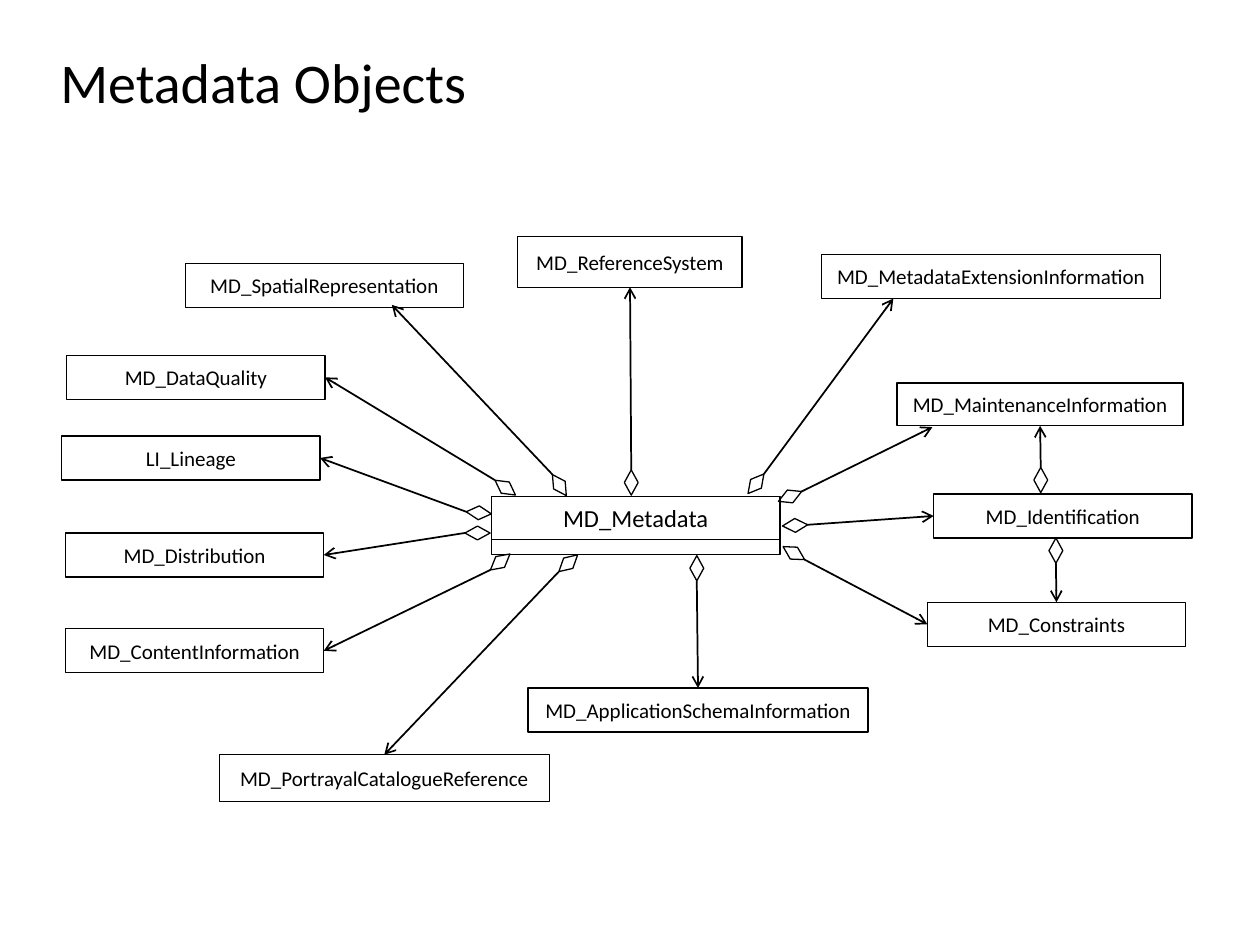
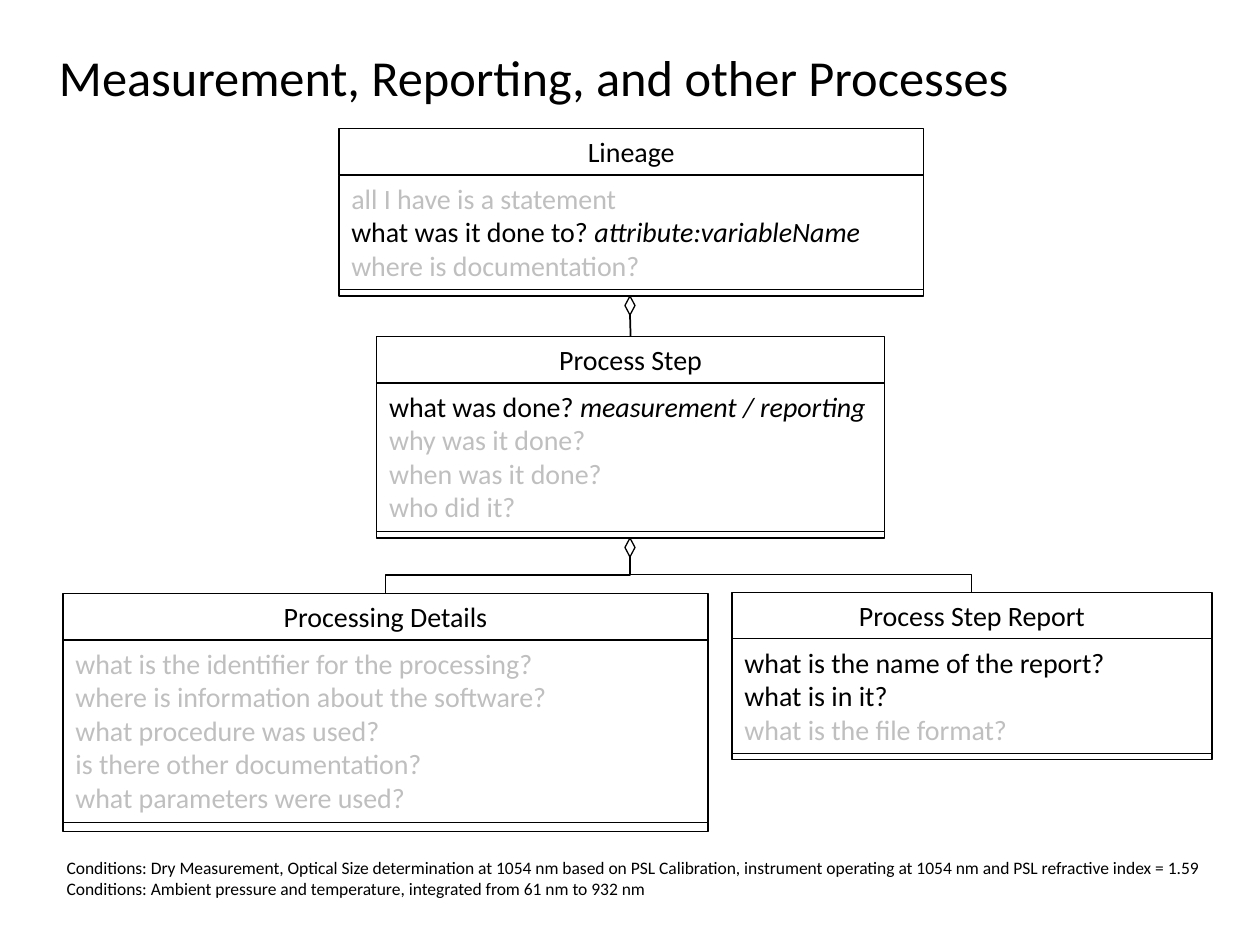
from math import cos, radians, sin

from lxml import etree
from pptx import Presentation
from pptx import util as u
from pptx.dml import color as dml
from pptx.enum import shapes, text
from pptx.oxml import ns

FONT = "Calibri"
BLACK, MUTED = "000000", "BFBFBF"
LEFT, CENTER = text.PP_ALIGN.LEFT, text.PP_ALIGN.CENTER
TOP, MIDDLE = text.MSO_ANCHOR.TOP, text.MSO_ANCHOR.MIDDLE
STRAIGHT, ELBOW = shapes.MSO_CONNECTOR.STRAIGHT, shapes.MSO_CONNECTOR.ELBOW
RECT, DIAMOND = shapes.MSO_SHAPE.RECTANGLE, shapes.MSO_SHAPE.DIAMOND
SITES = {"top": 0, "left": 1, "bottom": 2, "right": 3}

HEADER_HEIGHT, LINE_HEIGHT, BODY_PADDING = 0.37, 0.27, 0.1

# name: left, top, width, height
METADATA_CLASSES = {
    "MD_ReferenceSystem": (4.11, 1.88, 1.78, 0.4),
    "MD_DataQuality": (0.53, 2.82, 2.05, 0.35),
    "MD_SpatialRepresentation": (1.47, 2.09, 2.21, 0.35),
    "MD_Identification": (7.41, 3.92, 2.05, 0.35),
    "MD_MaintenanceInformation": (7.12, 3.04, 2.27, 0.34),
    "MD_Distribution": (0.52, 4.23, 2.05, 0.35),
    "MD_ApplicationSchemaInformation": (4.19, 5.46, 2.7, 0.35),
    "MD_PortrayalCatalogueReference": (1.74, 5.99, 2.62, 0.37),
    "MD_Constraints": (7.36, 4.78, 2.05, 0.35),
    "MD_MetadataExtensionInformation": (6.52, 2.02, 2.69, 0.35),
    "MD_ContentInformation": (0.52, 4.99, 2.05, 0.35),
    "LI_Lineage": (0.49, 3.46, 2.05, 0.35),
}

# diamond centre, diamond angle, target class, side of the target or a point
AGGREGATIONS = [
    ((5.01, 3.83), 0, "MD_ReferenceSystem", "bottom"),
    ((6.0, 3.84), 39, "MD_MetadataExtensionInformation", (7.09, 2.37)),
    ((8.26, 3.81), 0, "MD_MaintenanceInformation", "bottom"),
    ((6.27, 3.94), 67, "MD_MaintenanceInformation", (7.4, 3.39)),
    ((6.31, 4.17), 87.2, "MD_Identification", "left"),
    ((8.38, 4.37), 180, "MD_Constraints", "top"),
    ((4.44, 3.85), 326.6, "MD_SpatialRepresentation", (3.11, 2.42)),
    ((6.3, 4.39), 121.1, "MD_Constraints", "left"),
    ((5.53, 4.51), 180, "MD_ApplicationSchemaInformation", "top"),
    ((4.51, 4.47), 228.2, "MD_PortrayalCatalogueReference", "top"),
    ((3.97, 4.46), 230.8, "MD_ContentInformation", "right"),
    ((3.79, 4.23), 270, "MD_Distribution", "right"),
    ((4.01, 3.87), 306, "MD_DataQuality", "right"),
    ((3.8, 4.07), 274.7, "LI_Lineage", "right"),
]


def rgb(hex_color):
    return dml.RGBColor.from_string(hex_color)


def inches(*lengths):
    return [u.Inches(length) for length in lengths]


def write(shape, paragraphs, size=16, align=LEFT, anchor=TOP, wrap=True):
    """Fill a shape with paragraphs, each a list of (text, colour, italic) runs."""
    frame = shape.text_frame
    frame.word_wrap = wrap
    frame.vertical_anchor = anchor
    for index, runs in enumerate(paragraphs):
        paragraph = frame.add_paragraph() if index else frame.paragraphs[0]
        paragraph.alignment = align
        for words, color, italic in runs:
            run = paragraph.add_run()
            run.text = words
            run.font.name = FONT
            run.font.size = u.Pt(size)
            run.font.italic = italic
            run.font.color.rgb = rgb(color)


def plain(words):
    return [(words, BLACK, False)]


def muted(words):
    return [(words, MUTED, False)]


def with_example(words, example):
    return [(words, BLACK, False), (example, BLACK, True)]


def add_title(slide, words, box, size):
    title = slide.shapes.add_textbox(*inches(*box))
    write(title, [plain(words)], size=size, anchor=MIDDLE)


def add_outline(slide, box, preset=RECT):
    outline = slide.shapes.add_shape(preset, *inches(*box))
    outline.shadow.inherit = False
    outline.fill.background()
    outline.line.color.rgb = rgb(BLACK)
    outline.line.width = u.Pt(0.75)
    return outline


def add_diamond(slide, center, width, height, angle=0):
    x, y = center
    box = (x - width / 2, y - height / 2, width, height)
    add_outline(slide, box, DIAMOND).rotation = angle


def add_line(slide, start, end, kind=STRAIGHT, arrow=False):
    line = slide.shapes.add_connector(kind, *inches(*start, *end))
    line.line.color.rgb = rgb(BLACK)
    line.line.width = u.Pt(1)
    if arrow:
        etree.SubElement(line.line._get_or_add_ln(), ns.qn("a:tailEnd"), type="arrow")
    etree.SubElement(line._element.spPr, ns.qn("a:effectLst"))
    return line


def add_drop_elbow(slide, start, end):
    """Elbow that leaves downwards, runs sideways and arrives downwards."""
    (x1, y1), (x2, y2) = start, end
    mid_x, mid_y = (x1 + x2) / 2, (y1 + y2) / 2
    half_run, half_drop = (x2 - x1) / 2, (y2 - y1) / 2
    corners = [(mid_x + half_drop, mid_y - half_run),
               (mid_x - half_drop, mid_y + half_run)]
    goes_right = x2 > x1
    if not goes_right:
        corners.reverse()
    elbow = add_line(slide, *corners, kind=ELBOW)
    elbow._element.spPr.xfrm.rot = 270 if goes_right else 90


def add_aggregation(slide, center, angle, target, end):
    """Diamond with an arrow that runs from its tip to the target."""
    width, height = 0.11, 0.2
    add_diamond(slide, center, width, height, angle)
    turn = radians(angle)
    tip = (center[0] + height / 2 * sin(turn), center[1] - height / 2 * cos(turn))
    on_side = end in SITES
    arrow = add_line(slide, tip, tip if on_side else end, arrow=True)
    if on_side:
        arrow.end_connect(target, SITES[end])


def add_class(slide, left, top, width, name, questions, footer=0.05):
    """Header, body and empty footer; returns the header and the bottom edge."""
    header = add_outline(slide, (left, top, width, HEADER_HEIGHT))
    write(header, [plain(name)], align=CENTER)
    body_top = top + HEADER_HEIGHT
    body_height = BODY_PADDING + LINE_HEIGHT * len(questions)
    body = add_outline(slide, (left, body_top, width, body_height))
    write(body, questions)
    footer_top = body_top + body_height
    add_outline(slide, (left, footer_top, width, footer))
    return header, footer_top + footer


def add_class_diamond(slide, x, top):
    """Small diamond under a class; returns its lower tip."""
    width, height = 0.08, 0.15
    add_diamond(slide, (x, top + height / 2), width, height)
    return x, top + height


def metadata_slide(slide):
    add_title(slide, "Metadata Objects", (0.38, 0.45, 6.42, 0.38), 32)
    classes = {}
    for name, box in METADATA_CLASSES.items():
        classes[name] = add_outline(slide, box)
        write(classes[name], [plain(name)], size=12, align=CENTER,
              anchor=MIDDLE, wrap=False)

    left, top, width, height = 3.9, 3.94, 2.29, 0.34
    hub = add_outline(slide, (left, top, width, height))
    write(hub, [plain("MD_Metadata")], size=14, align=CENTER)
    add_outline(slide, (left, top + height, width, 0.12))

    for center, angle, name, end in AGGREGATIONS:
        add_aggregation(slide, center, angle, classes[name], end)


def process_slide(slide):
    add_title(slide, "Measurement, Reporting, and other Processes",
              (0.37, 0.38, 8.84, 0.46), 28.8)
    axis = 5

    _, lineage_bottom = add_class(slide, 2.69, 1.02, 4.64, "Lineage", [
        muted("all I have is a statement"),
        with_example("what was it done to? ", "attribute:variableName"),
        muted("where is documentation?"),
    ])
    step, step_bottom = add_class(slide, 2.99, 2.67, 4.03, "Process Step", [
        with_example("what was done? ", "measurement / reporting"),
        muted("why was it done?"),
        muted("when was it done?"),
        muted("who did it?"),
    ])
    add_class(slide, 5.81, 4.7, 3.81, "Process Step Report", [
        plain("what is the name of the report?"),
        plain("what is in it?"),
        muted("what is the file format?"),
    ])
    add_class(slide, 0.5, 4.71, 5.12, "Processing Details", [
        muted("what is the identifier for the processing?"),
        muted("where is information about the software?"),
        muted("what procedure was used?"),
        muted("is there other documentation?"),
        muted("what parameters were used?"),
    ], footer=0.07)

    lineage_tip = add_class_diamond(slide, axis, lineage_bottom)
    add_line(slide, lineage_tip, (axis, 2.67)).end_connect(step, SITES["top"])
    step_tip = add_class_diamond(slide, axis, step_bottom)
    for child_top in [(7.71, 4.7), (3.06, 4.71)]:
        add_drop_elbow(slide, step_tip, child_top)

    conditions = slide.shapes.add_textbox(*inches(0.43, 6.75, 9.35, 0.44))
    write(conditions, [
        plain("Conditions: Dry Measurement, Optical Size determination at 1054 nm "
              "based on PSL Calibration, instrument operating at 1054 nm and "
              "PSL refractive index = 1.59"),
        plain("Conditions: Ambient pressure and temperature, "
              "integrated from 61 nm to 932 nm"),
    ], size=10, wrap=False)


def main():
    deck = Presentation()
    deck.slide_width, deck.slide_height = inches(10, 7.5)
    blank = deck.slide_layouts[6]
    for fill_slide in (metadata_slide, process_slide):
        fill_slide(deck.slides.add_slide(blank))
    deck.save("out.pptx")


if __name__ == "__main__":
    main()
